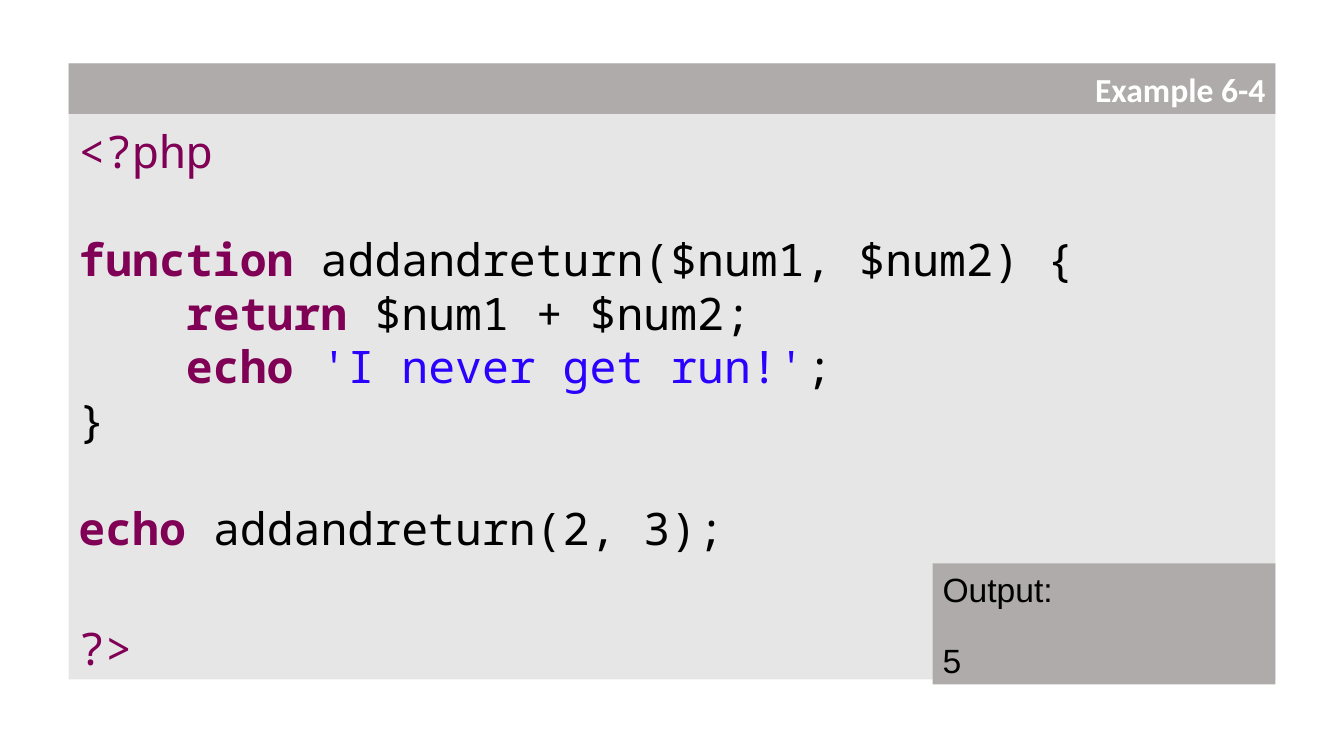
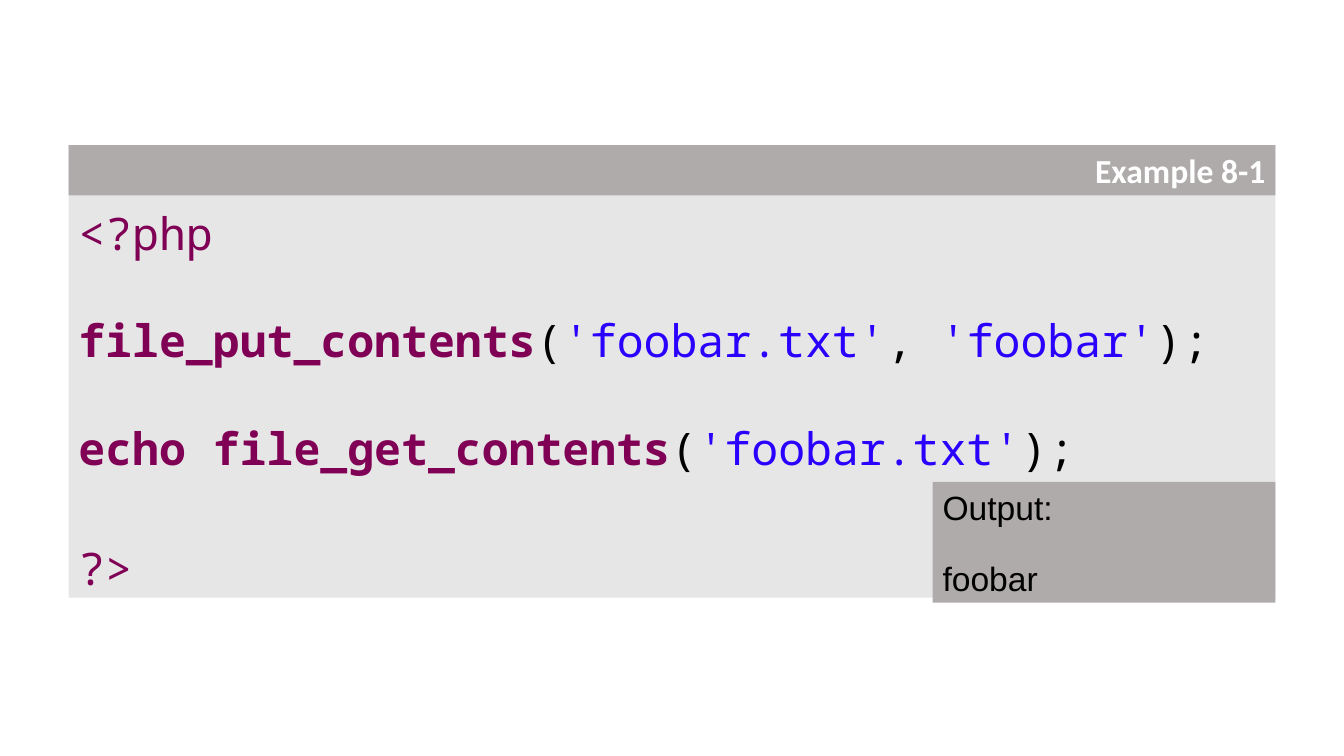
from pptx import Presentation
from pptx.dml.color import RGBColor
from pptx.enum.shapes import MSO_SHAPE
from pptx.enum.text import MSO_ANCHOR, PP_ALIGN
from pptx.util import Inches, Pt

RECT = MSO_SHAPE.RECTANGLE
TOP, MIDDLE = MSO_ANCHOR.TOP, MSO_ANCHOR.MIDDLE
START, END = PP_ALIGN.LEFT, PP_ALIGN.RIGHT

PALE = RGBColor(0xE7, 0xE6, 0xE6)
GREY = RGBColor(0xAF, 0xAB, 0xAB)
WHITE = RGBColor(0xFF, 0xFF, 0xFF)
BLACK = RGBColor(0, 0, 0)
PURPLE = RGBColor(0x7F, 0, 0x55)
BLUE = RGBColor(0x2A, 0, 0xFF)

# Slide grid, in inches
WIDE, HIGH = 13.33, 7.5
SIDE = 0.68
SPAN = WIDE - 2 * SIDE
CENTRE = 3.71
BAND = 0.5
OUT_W, OUT_H = 3.4, 1.2  # low enough to stay clear of the code above
DROP = 0.05  # the output box reaches this far below the code panel

# Text metrics, in points
LINE = 38.4
CLOSE = 47.3
OUT_GAP = 22

# Styles: font, size, colour, bold
MONO = "Noto Sans Mono"
TAG = (MONO, 32, PURPLE, False)
KEY = (MONO, 32, PURPLE, True)
CODE = (MONO, 32, BLACK, False)
QUOTE = (MONO, 32, BLUE, False)
LABEL = ("Calibri", 24, WHITE, True)
RESULT = ("Arial", 24, BLACK, False)

# Each code line: gap above in points, then its runs
ADD_CODE = [
    (LINE, [("function ", KEY), ("addandreturn($num1, $num2) {", CODE)]),
    (0, [("    return ", KEY), ("$num1 + $num2;", CODE)]),
    (0, [("    echo ", KEY), ("'I never get run!'", QUOTE), (";", CODE)]),
    (0, [("}", CODE)]),
    (LINE, [("echo ", KEY), ("addandreturn(2, 3);", CODE)]),
]
FILE_CODE = [
    (LINE, [("file_put_contents", KEY), ("(", CODE), ("'foobar.txt'", QUOTE),
            (", ", CODE), ("'foobar'", QUOTE), (");", CODE)]),
    (LINE, [("echo file_get_contents", KEY), ("(", CODE),
            ("'foobar.txt'", QUOTE), (");", CODE)]),
]


def add_box(slide, left, top, width, height, fill, anchor=TOP, inset=0.05):
    """Add a flat rectangle and return its text frame."""
    box = slide.shapes.add_shape(
        RECT, Inches(left), Inches(top), Inches(width), Inches(height))
    box.shadow.inherit = False
    box.fill.solid()
    box.fill.fore_color.rgb = fill
    box.line.fill.background()
    frame = box.text_frame
    frame.word_wrap = True
    frame.vertical_anchor = anchor
    frame.margin_top = Inches(inset)
    return frame


def add_lines(frame, lines, align=START, pitch=None):
    for index, (gap, runs) in enumerate(lines):
        para = frame.add_paragraph() if index else frame.paragraphs[0]
        para.alignment = align
        if gap:
            para.space_before = Pt(gap)
        if pitch:
            para.line_spacing = Pt(pitch)
        for text, (name, size, colour, bold) in runs:
            run = para.add_run()
            run.text = text
            run.font.name = name
            run.font.size = Pt(size)
            run.font.color.rgb = colour
            run.font.bold = bold


def add_example(deck, title, code, result, height):
    """Add a slide with a code panel, its title band and its output."""
    slide = deck.slides.add_slide(deck.slide_layouts[6])
    top = CENTRE - height / 2

    panel = add_box(slide, SIDE, top, SPAN, height - DROP, PALE,
                    inset=BAND + 0.1)
    script = [(0, [("<?php", TAG)]), *code, (CLOSE, [("?>", TAG)])]
    add_lines(panel, script, pitch=LINE)

    output = add_box(slide, SIDE + SPAN - OUT_W, top + height - OUT_H,
                     OUT_W, OUT_H, GREY)
    add_lines(output, [(0, [("Output:", RESULT)]),
                       (OUT_GAP, [(result, RESULT)])])

    band = add_box(slide, SIDE, top, SPAN, BAND, GREY, MIDDLE)
    add_lines(band, [(0, [(title, LABEL)])], END)


def main():
    deck = Presentation()
    deck.slide_width, deck.slide_height = Inches(WIDE), Inches(HIGH)
    add_example(deck, "Example 6-4", ADD_CODE, "5", 6.16)
    add_example(deck, "Example 8-1", FILE_CODE, "foobar", 4.54)
    deck.save("out.pptx")


if __name__ == "__main__":
    main()
